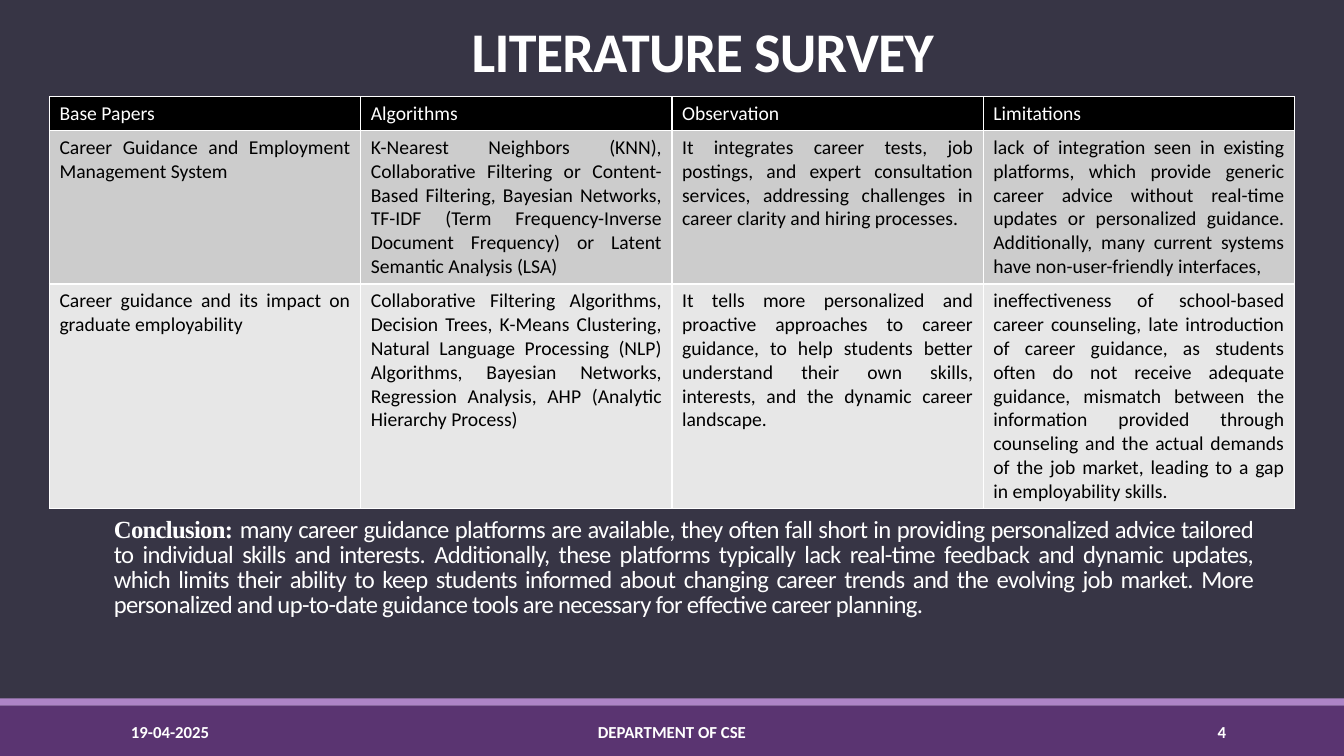
from dataclasses import dataclass

from lxml.etree import SubElement
from pptx import Presentation
from pptx.dml.color import RGBColor
from pptx.enum.shapes import MSO_SHAPE
from pptx.enum.text import MSO_ANCHOR, MSO_AUTO_SIZE, PP_ALIGN
from pptx.oxml.ns import qn
from pptx.util import Inches, Pt


@dataclass(frozen=True)
class Theme:
    background: str = "373545"
    footer_band: str = "5A3471"
    footer_stripe: str = "AD84C6"
    light: str = "FFFFFF"
    dark: str = "000000"
    row_fills: tuple = ("000000", "CCCCCC", "E7E7E7")
    sans: str = "Calibri"
    serif: str = "Times New Roman"
    title_size: float = 40
    conclusion_size: float = 17.6
    table_size: float = 14
    footer_size: float = 12


THEME = Theme()
TITLE = "LITERATURE SURVEY "
ROW_HEIGHTS = (0.3, 1.34, 1.97)
SURVEY = (
    ("Base Papers", "Algorithms", "Observation", "Limitations"),
    (
        "Career Guidance and Employment Management System ",
        "K-Nearest Neighbors (KNN), Collaborative Filtering or Content-Based Filtering, "
        "Bayesian Networks, TF-IDF (Term Frequency-Inverse Document Frequency) or "
        "Latent Semantic Analysis (LSA)",
        "It integrates career tests, job postings, and expert consultation services, "
        "addressing challenges in career clarity and hiring processes.",
        "lack of integration seen in existing platforms, which provide generic career "
        "advice without real-time updates or personalized guidance. Additionally, many "
        "current systems have non-user-friendly interfaces, ",
    ),
    (
        "Career guidance and its impact on graduate employability",
        "Collaborative Filtering Algorithms, Decision Trees, K-Means Clustering, Natural "
        "Language Processing (NLP) Algorithms, Bayesian Networks, Regression Analysis, "
        "AHP (Analytic Hierarchy Process)",
        "It tells more personalized and proactive approaches to career guidance, to help "
        "students better understand their own skills, interests, and the dynamic career "
        "landscape.",
        "ineffectiveness of school-based career counseling, late introduction of career "
        "guidance, as students often do not receive adequate guidance, mismatch between "
        "the information provided through counseling and the actual demands of the job "
        "market, leading to a gap in employability skills.",
    ),
)
CONCLUSION_LABEL = "Conclusion: "
CONCLUSION = (
    "many career guidance platforms are available, they often fall short in providing "
    "personalized advice tailored to individual skills and interests. Additionally, these "
    "platforms typically lack real-time feedback and dynamic updates, which limits their "
    "ability to keep students informed about changing career trends and the evolving job "
    "market. More personalized and up-to-date guidance tools are necessary for effective "
    "career planning."
)


def rgb(color):
    return RGBColor.from_string(color)


def style_font(font, size, color=THEME.light, bold=False, name=THEME.sans):
    font.name, font.size, font.bold = name, Pt(size), bold
    font.color.rgb = rgb(color)


def prepare_placeholder(placeholder, left, top, width, height):
    """Move a placeholder and anchor its text at the top, without autofit."""
    placeholder.left, placeholder.top = Inches(left), Inches(top)
    placeholder.width, placeholder.height = Inches(width), Inches(height)
    frame = placeholder.text_frame
    frame.word_wrap = True
    frame.auto_size = MSO_AUTO_SIZE.NONE
    frame.vertical_anchor = MSO_ANCHOR.TOP
    return frame.paragraphs[0]


def tighten(paragraph):
    """Set the close line and letter spacing shared by title and conclusion."""
    paragraph.line_spacing = 0.85
    paragraph.space_before = Pt(0)
    for run in paragraph.runs:
        run._r.get_or_add_rPr().set("spc", "-50")


def add_title(slide, left, top, width, height):
    heading = prepare_placeholder(slide.shapes.title, left, top, width, height)
    heading.add_run().text = TITLE
    heading.alignment = PP_ALIGN.CENTER
    style_font(heading.font, THEME.title_size, bold=True)
    tighten(heading)


def outline_cell(cell):
    properties = cell._tc.get_or_add_tcPr()
    for side in ("a:lnL", "a:lnR", "a:lnT", "a:lnB"):
        border = SubElement(properties, qn(side), w=str(Pt(1)))
        fill = SubElement(border, qn("a:solidFill"))
        SubElement(fill, qn("a:srgbClr"), val=THEME.light)


def add_survey_table(slide, left, top, width, height):
    table = slide.shapes.add_table(
        len(SURVEY), len(SURVEY[0]), Inches(left), Inches(top), Inches(width), Inches(height)
    ).table
    for row, row_height in zip(table.rows, ROW_HEIGHTS):
        row.height = Inches(row_height)
    for row_index, entries in enumerate(SURVEY):
        is_header = row_index == 0
        for column_index, entry in enumerate(entries):
            cell = table.cell(row_index, column_index)
            outline_cell(cell)
            cell.fill.solid()
            cell.fill.fore_color.rgb = rgb(THEME.row_fills[row_index])
            cell.text = entry
            paragraph = cell.text_frame.paragraphs[0]
            paragraph.alignment = PP_ALIGN.LEFT if is_header else PP_ALIGN.JUSTIFY
            style_font(paragraph.font, THEME.table_size, THEME.light if is_header else THEME.dark)


def add_conclusion(slide, left, top, width, height):
    summary = prepare_placeholder(slide.placeholders[1], left, top, width, height)
    properties = summary._p.get_or_add_pPr()
    properties.set("marL", "0")
    properties.set("indent", "0")
    SubElement(properties, qn("a:buNone"))
    label, statement = summary.add_run(), summary.add_run()
    label.text, statement.text = CONCLUSION_LABEL, CONCLUSION
    style_font(label.font, THEME.conclusion_size, bold=True, name=THEME.serif)
    style_font(statement.font, THEME.conclusion_size)
    summary.alignment = PP_ALIGN.JUSTIFY
    tighten(summary)


def add_footer(slide, left, top, width, height):
    stripe_height = 0.07
    bands = (
        (top + stripe_height, height - stripe_height, THEME.footer_band),
        (top, stripe_height, THEME.footer_stripe),
    )
    for band_top, band_height, color in bands:
        band = slide.shapes.add_shape(
            MSO_SHAPE.RECTANGLE, Inches(left), Inches(band_top), Inches(width), Inches(band_height)
        )
        band.shadow.inherit = False
        band.fill.solid()
        band.fill.fore_color.rgb = rgb(color)
        band.line.fill.background()

    entries = (
        ("19-04-2025", 1.2, 2.7, PP_ALIGN.LEFT),
        ("DEPARTMENT OF CSE", 4.03, 5.27, PP_ALIGN.CENTER),
        ("4", 10.83, 1.43, PP_ALIGN.RIGHT),
    )
    for entry, offset, entry_width, alignment in entries:
        frame = slide.shapes.add_textbox(
            Inches(left + offset), Inches(top + 0.13), Inches(entry_width), Inches(0.4)
        ).text_frame
        frame.word_wrap = True
        frame.vertical_anchor = MSO_ANCHOR.MIDDLE
        paragraph = frame.paragraphs[0]
        paragraph.text = entry
        paragraph.alignment = alignment
        style_font(paragraph.font, THEME.footer_size, bold=True)


def main():
    presentation = Presentation()
    presentation.slide_width, presentation.slide_height = Inches(13.33), Inches(7.5)
    slide = presentation.slides.add_slide(presentation.slide_layouts[1])
    slide.background.fill.solid()
    slide.background.fill.fore_color.rgb = rgb(THEME.background)
    add_title(slide, 1.53, 0.22, 11, 0.74)
    add_survey_table(slide, 0.49, 0.96, 12.35, sum(ROW_HEIGHTS))
    add_conclusion(slide, 1.03, 5.09, 11.5, 1.45)
    add_footer(slide, 0, 6.93, 13.33, 0.57)
    presentation.save("out.pptx")


if __name__ == "__main__":
    main()
